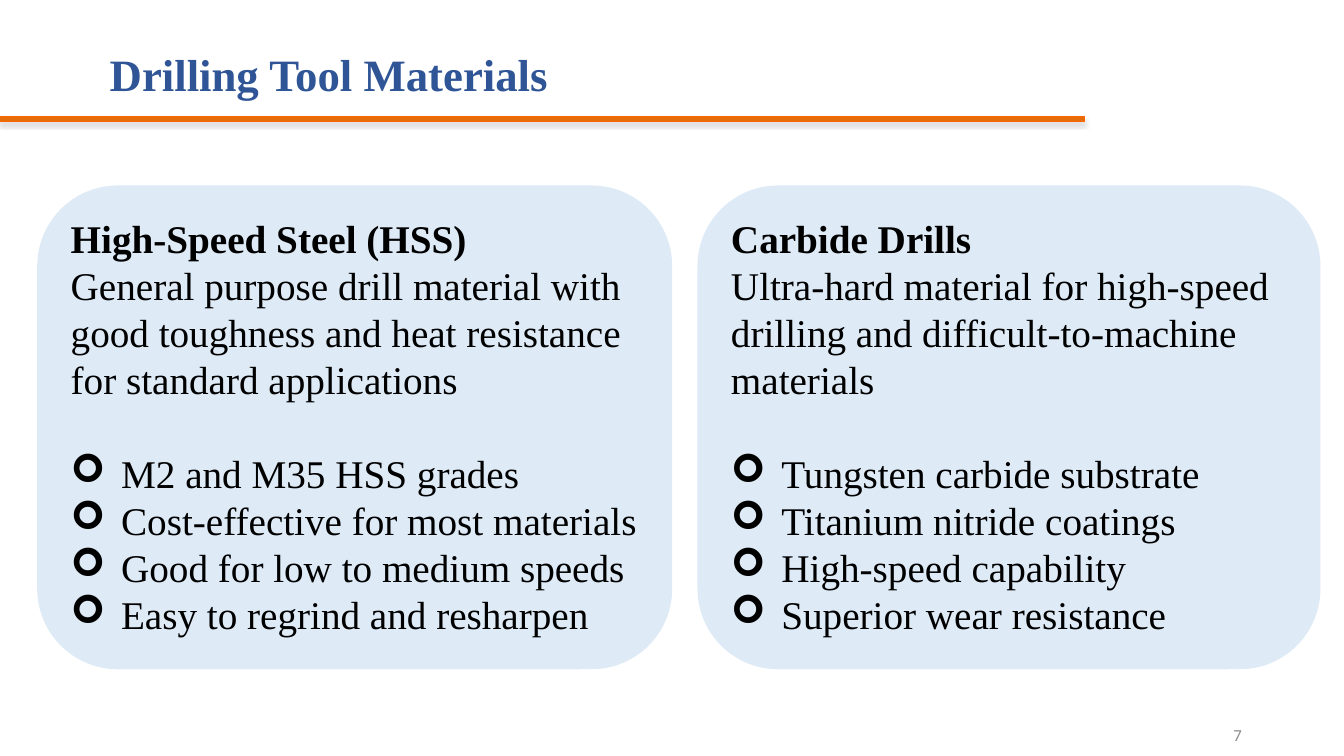
from dataclasses import dataclass

import lxml.etree
import pptx
import pptx.dml.color
import pptx.enum.shapes
import pptx.enum.text
import pptx.oxml
import pptx.oxml.ns
import pptx.util

Pt = pptx.util.Pt
RGB = pptx.dml.color.RGBColor.from_string
ALIGN = pptx.enum.text.PP_ALIGN
ANCHOR = pptx.enum.text.MSO_ANCHOR
SHAPE = pptx.enum.shapes.MSO_SHAPE
qn = pptx.oxml.ns.qn


@dataclass(frozen=True)
class Theme:
    font: str = "Times New Roman"
    number_font: str = "Calibri"
    title_color: str = "2F5597"
    text_color: str = "000000"
    number_color: str = "8C8C8C"
    card_fill: str = "DEEBF7"
    rule_fill: str = "E46C0A"
    rule_line: str = "FF6600"
    title_size: float = 32
    body_size: float = 28
    number_size: float = 12


@dataclass(frozen=True)
class Box:
    left: float
    top: float
    width: float
    height: float

    def lengths(self) -> tuple:
        return Pt(self.left), Pt(self.top), Pt(self.width), Pt(self.height)


@dataclass(frozen=True)
class Card:
    box: Box
    heading: str
    summary: str
    bullets: tuple[str, ...]


THEME = Theme()
BULLET_INDENT = 36
BULLET_GAP = 33.6  # one line of body text
CARD_TOP, CARD_HEIGHT = 132.5, 345.6

CARDS = (
    Card(
        Box(26.6, CARD_TOP, 453.6, CARD_HEIGHT),
        "High-Speed Steel (HSS)",
        "General purpose drill material with good toughness and heat "
        "resistance for standard applications",
        ("M2 and M35 HSS grades", "Cost-effective for most materials",
         "Good for low to medium speeds", "Easy to regrind and resharpen"),
    ),
    Card(
        Box(498.2, CARD_TOP, 445, CARD_HEIGHT),
        "Carbide Drills",
        "Ultra-hard material for high-speed drilling and "
        "difficult-to-machine materials",
        ("Tungsten carbide substrate", "Titanium nitride coatings",
         "High-speed capability", "Superior wear resistance"),
    ),
)


def style(p, font: str, size: float, color: str, bold: bool = False) -> None:
    for r in p.runs:
        r.font.name = font
        r.font.size = Pt(size)
        r.font.bold = bold
        r.font.color.rgb = RGB(color)


def add_label(s, box: Box, text: str):
    tf = s.shapes.add_textbox(*box.lengths()).text_frame
    tf.word_wrap = True
    tf.vertical_anchor = ANCHOR.MIDDLE
    tf.text = text
    return tf.paragraphs[0]


def add_block(s, kind, box: Box, fill: str):
    sp = s.shapes.add_shape(kind, *box.lengths())
    sp.shadow.inherit = False
    sp.fill.solid()
    sp.fill.fore_color.rgb = RGB(fill)
    sp.line.fill.background()
    return sp


def add_bullet(p) -> None:
    pPr = p._p.get_or_add_pPr()
    pPr.set("marL", str(Pt(BULLET_INDENT)))
    pPr.set("indent", str(-Pt(BULLET_INDENT)))
    lxml.etree.SubElement(pPr, qn("a:buFont"), typeface="Wingdings")
    lxml.etree.SubElement(pPr, qn("a:buChar"), char="➢")


def add_rule(s, box: Box) -> None:
    sp = add_block(s, SHAPE.RECTANGLE, box, THEME.rule_fill)
    sp.line.color.rgb = RGB(THEME.rule_line)
    sp.line.width = Pt(0.75)
    # Soft shadow straight below the rule
    effects = sp._element.spPr.find(qn("a:effectLst"))
    shadow = lxml.etree.SubElement(
        effects, qn("a:outerShdw"), blurRad=str(Pt(3)), dist=str(Pt(1.8)),
        dir="5400000", rotWithShape="0")
    color = lxml.etree.SubElement(shadow, qn("a:srgbClr"), val="808080")
    lxml.etree.SubElement(color, qn("a:alpha"), val="35000")


def add_card(s, card: Card) -> None:
    sp = add_block(s, SHAPE.ROUNDED_RECTANGLE, card.box, THEME.card_fill)
    tf = sp.text_frame
    tf.word_wrap = True
    tf.vertical_anchor = ANCHOR.TOP
    tf.text = "\n".join((card.heading, card.summary, *card.bullets))
    for i, p in enumerate(tf.paragraphs):
        if i >= 2:
            add_bullet(p)
        p.alignment = ALIGN.LEFT
        style(p, THEME.font, THEME.body_size, THEME.text_color, bold=i == 0)
    tf.paragraphs[2].space_before = Pt(BULLET_GAP)


def main() -> None:
    prs = pptx.Presentation()
    prs.slide_width, prs.slide_height = Pt(960), Pt(540)
    s = prs.slides.add_slide(prs.slide_layouts[6])

    # Rule under the title
    add_rule(s, Box(0, 83.5, 774.7, 3.6))

    # Slide number
    p = add_label(s, Box(678.2, 510.5, 216, 28.8), "7")
    p.alignment = ALIGN.RIGHT
    style(p, THEME.number_font, THEME.number_size, THEME.number_color)

    # Title
    p = add_label(s, Box(71.3, 24.5, 573.1, 61.2), "Drilling Tool Materials")
    p.line_spacing = 0.9
    style(p, THEME.font, THEME.title_size, THEME.title_color, bold=True)

    # Material cards
    for card in CARDS:
        add_card(s, card)

    prs.save("out.pptx")


if __name__ == "__main__":
    main()
